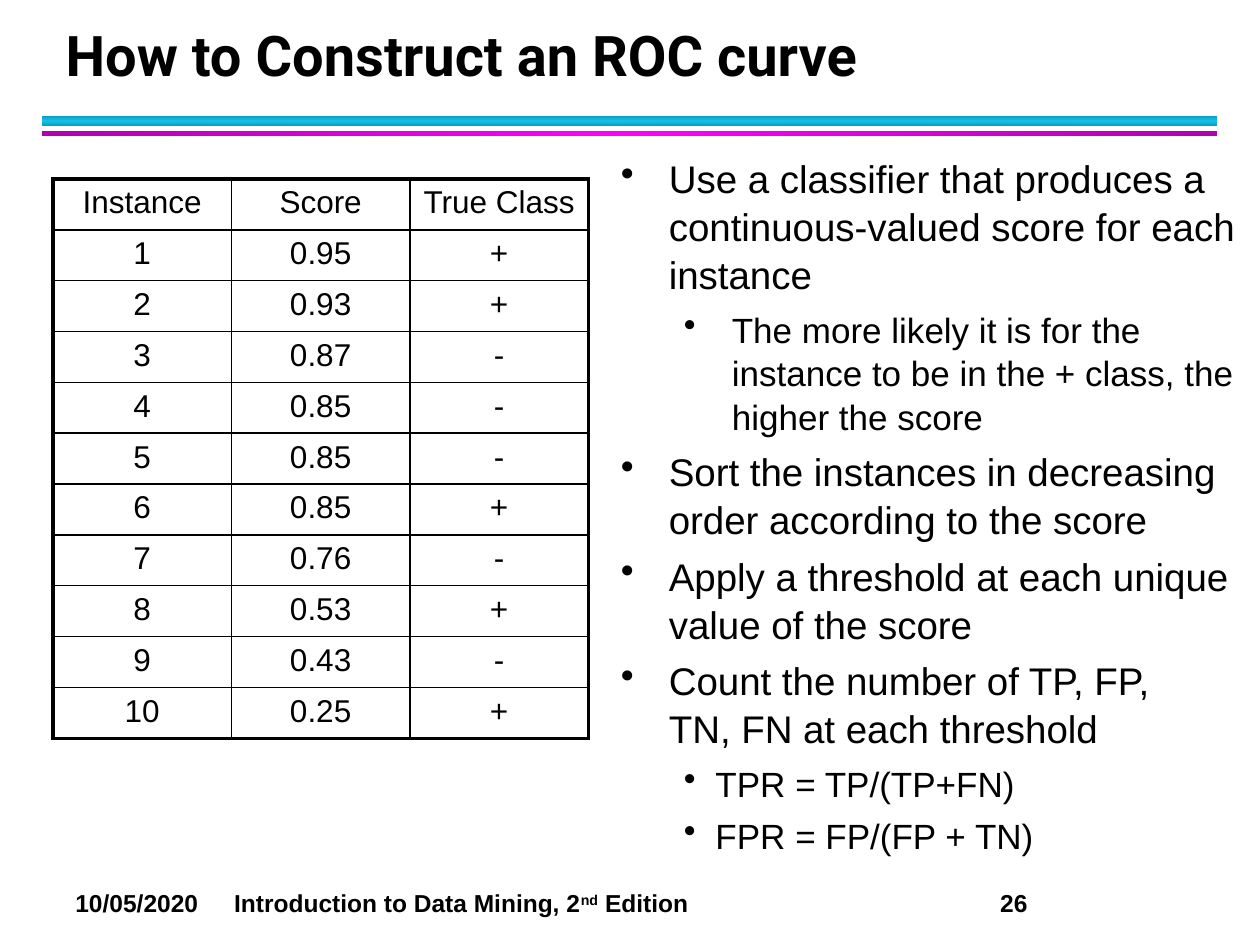
from copy import deepcopy

from pptx import Presentation
from pptx.dml.color import RGBColor
from pptx.enum.shapes import MSO_SHAPE
from pptx.enum.text import MSO_ANCHOR, MSO_AUTO_SIZE, PP_ALIGN
from pptx.oxml.ns import qn
from pptx.oxml.xmlchemy import OxmlElement
from pptx.util import Emu, Inches, Pt

BLACK = RGBColor(0x00, 0x00, 0x00)
CYAN = RGBColor(0x12, 0xC2, 0xE9)
DARK_CYAN = RGBColor(0x0E, 0x9B, 0xBA)
MAGENTA = RGBColor(0xFF, 0x00, 0xFF)
DARK_MAGENTA = RGBColor(0xB2, 0x00, 0xB2)

THIN, THICK = 1, 2.25

INSTANCES = [
    ("Instance", "Score", "True Class"),
    ("1", "0.95", "+"),
    ("2", "0.93", "+"),
    ("3", "0.87", "-"),
    ("4", "0.85", "-"),
    ("5", "0.85", "-"),
    ("6", "0.85", "+"),
    ("7", "0.76", "-"),
    ("8", "0.53", "+"),
    ("9", "0.43", "-"),
    ("10", "0.25", "+"),
]

# Text, level, left margin and hanging indent in inches
STEPS = [
    ("Use a classifier that produces a continuous-valued score for each instance", 0, 0.38, 0.38),
    ("The more likely it is for the instance to be in the + class, the higher the score", 1, 0.88, 0.38),
    ("Sort the instances in decreasing order according to the score", 0, 0.38, 0.38),
    ("Apply a threshold at each unique value of the score", 0, 0.38, 0.38),
    ("Count the number of TP, FP, \nTN, FN at each threshold", 0, 0.38, 0.38),
    ("TPR = TP/(TP+FN)", 1, 0.75, 0.25),
    ("FPR = FP/(FP + TN)", 1, 0.75, 0.25),
]
STEP_SIZES = (22, 20)


def box(left, top, width, height):
    return Inches(left), Inches(top), Inches(width), Inches(height)


def add_text(p, text, size=18, font="Arial", bold=False, align=PP_ALIGN.LEFT, baseline=None):
    p.alignment = align
    for i, line in enumerate(text.split("\n")):
        if i:
            p.add_line_break()
        r = p.add_run()
        r.text = line
        r.font.size, r.font.name, r.font.bold = Pt(size), font, bold
        r.font.color.rgb = BLACK
        if baseline:
            r.font._element.set("baseline", str(baseline * 1000))


def add_textbox(slide, area):
    tf = slide.shapes.add_textbox(*area).text_frame
    tf.word_wrap = True
    return tf


def add_bar(slide, area, edge, middle, angle):
    sp = slide.shapes.add_shape(MSO_SHAPE.RECTANGLE, *area)
    sp.shadow.inherit = False
    sp.line.fill.background()
    sp.fill.gradient()
    sp.fill.gradient_angle = angle
    stops = sp._element.spPr.find(qn("a:gradFill")).find(qn("a:gsLst"))
    stops.append(deepcopy(stops[-1]))
    for stop, position, color in zip(sp.fill.gradient_stops, (0, 0.5, 1), (edge, middle, edge)):
        stop.position = position
        stop.color.rgb = color


def add_title(slide, area, text):
    sp = slide.shapes.title
    sp.left, sp.top, sp.width, sp.height = area
    tf = sp.text_frame
    tf.auto_size = MSO_AUTO_SIZE.NONE
    tf.vertical_anchor = MSO_ANCHOR.BOTTOM
    p = tf.paragraphs[0]
    p.line_spacing = Pt(36)
    add_text(p, text, size=32, font="Roboto", bold=True)


def set_borders(cell, widths):
    tcPr = cell._tc.get_or_add_tcPr()
    for i, (side, width) in enumerate(widths.items()):
        ln = OxmlElement(f"a:ln{side}")
        ln.set("w", str(Pt(width)))
        fill = OxmlElement("a:solidFill")
        color = OxmlElement("a:srgbClr")
        color.set("val", str(BLACK))
        fill.append(color)
        ln.append(fill)
        tcPr.insert(i, ln)


def add_score_table(slide, area, rows):
    n_rows, n_cols = len(rows), len(rows[0])
    table = slide.shapes.add_table(n_rows, n_cols, *area).table
    table.first_row = table.horz_banding = False
    for row in table.rows:
        row.height = Emu(area[3] // n_rows)
    for y, values in enumerate(rows):
        for x, value in enumerate(values):
            cell = table.cell(y, x)
            cell.fill.background()
            add_text(cell.text_frame.paragraphs[0], value, align=PP_ALIGN.CENTER)
            # Thick lines around the table, thin lines within it
            outer = {"L": x == 0, "R": x == n_cols - 1, "T": y == 0, "B": y == n_rows - 1}
            set_borders(cell, {side: THICK if edge else THIN for side, edge in outer.items()})


def add_steps(slide, area, steps):
    tf = add_textbox(slide, area)
    for i, (text, level, margin, hang) in enumerate(steps):
        p = tf.add_paragraph() if i else tf.paragraphs[0]
        p.level = level
        p.space_before = Pt(5)
        p.line_spacing = 1.04
        add_text(p, text, size=STEP_SIZES[level])
        pPr = p._p.get_or_add_pPr()
        pPr.set("marL", str(Inches(margin)))
        pPr.set("indent", str(-Inches(hang)))
        bullet = OxmlElement("a:buChar")
        bullet.set("char", "•")
        pPr.append(bullet)


def add_footer(slide, area, tab_stops):
    p = add_textbox(slide, area).paragraphs[0]
    add_text(p, "10/05/2020\tIntroduction to Data Mining, 2", size=14, bold=True)
    add_text(p, "nd", size=14, bold=True, baseline=30)
    add_text(p, " Edition\t26", size=14, bold=True)
    tabs = OxmlElement("a:tabLst")
    for position in tab_stops:
        tab = OxmlElement("a:tab")
        tab.set("pos", str(Inches(position)))
        tab.set("algn", "l")
        tabs.append(tab)
    p._p.get_or_add_pPr().append(tabs)


def main():
    prs = Presentation()
    prs.slide_width, prs.slide_height = Inches(10), Inches(7.5)
    slide = prs.slides.add_slide(prs.slide_layouts[5])

    # Heading and its double rule
    add_bar(slide, box(0.33, 0.92, 9.33, 0.08), DARK_CYAN, CYAN, 90)
    add_bar(slide, box(0.33, 1.04, 9.33, 0.04), DARK_MAGENTA, MAGENTA, 0)
    add_title(slide, box(0.42, 0.17, 9.06, 0.58), "How to Construct an ROC curve")

    # Scores on the left, steps on the right
    add_score_table(slide, box(0.42, 1.42, 4.25, 4.44), INSTANCES)
    add_steps(slide, box(4.83, 1.17, 5.08, 5.54), STEPS)

    # Date, book title and page number
    add_footer(slide, box(0.5, 7, 9.33, 0.34), (1.26, 7.34))
    prs.save("out.pptx")


if __name__ == "__main__":
    main()
